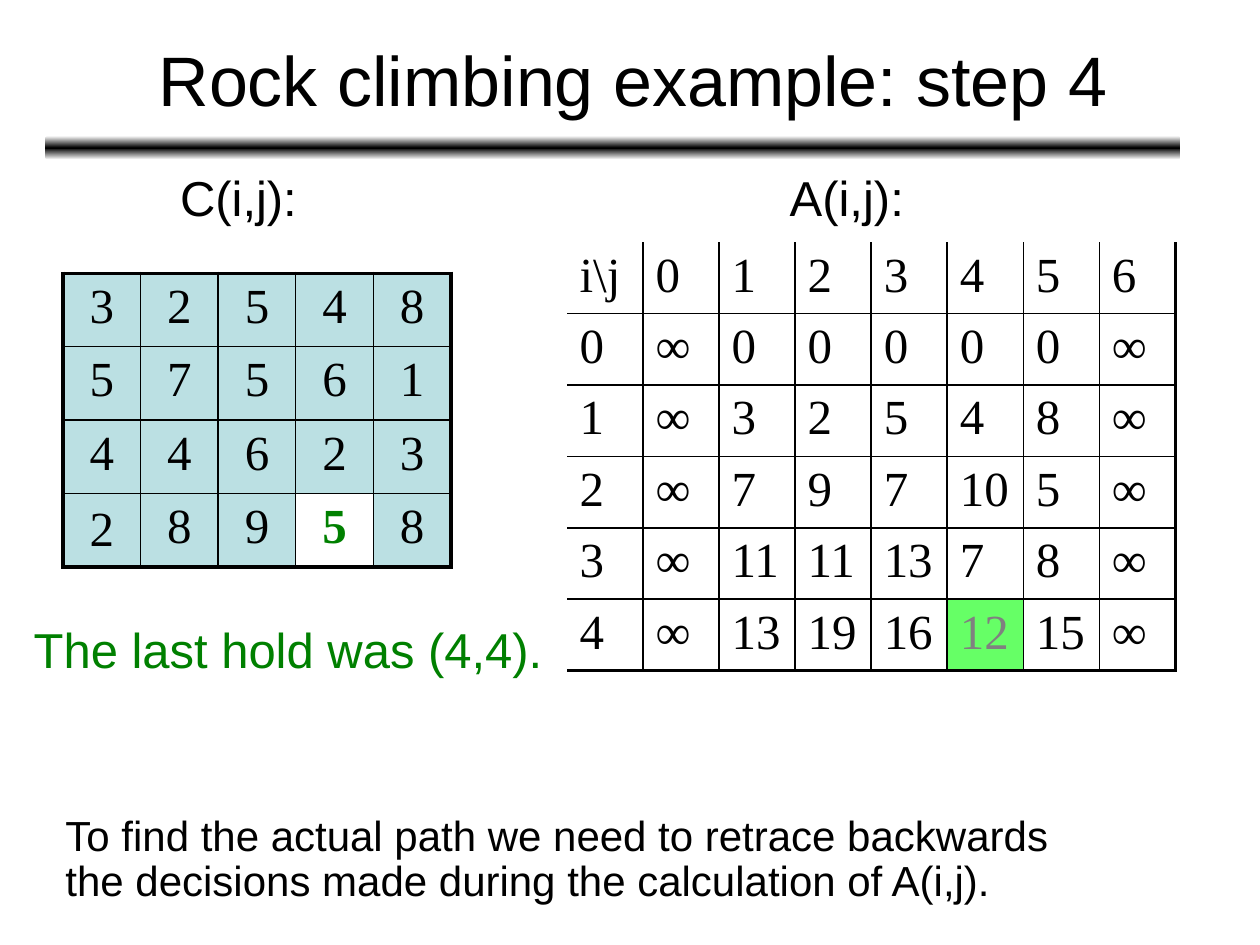
from copy import deepcopy
from dataclasses import dataclass, field

from lxml.etree import SubElement
from pptx import Presentation
from pptx.dml.color import RGBColor as RGB
from pptx.enum.shapes import MSO_SHAPE as SHAPE
from pptx.enum.text import MSO_ANCHOR as ANCHOR, MSO_AUTO_SIZE as FIT, PP_ALIGN as ALIGN
from pptx.oxml import parse_xml
from pptx.oxml.ns import nsdecls, qn
from pptx.util import Cm, Pt


@dataclass(frozen=True)
class Theme:
    black: RGB = RGB(0, 0, 0)
    white: RGB = RGB(255, 255, 255)
    green: RGB = RGB(0x00, 0x80, 0x00)
    gray: RGB = RGB(0x80, 0x80, 0x80)
    blue: RGB = RGB(0xBB, 0xE0, 0xE3)
    lime: RGB = RGB(0x66, 0xFF, 0x66)
    sans: str = "Arial"
    serif: str = "Times New Roman"
    title: int = 40
    large: int = 28
    body: int = 24
    thin: float = 1
    thick: float = 2.25


T = Theme()


@dataclass(frozen=True)
class Box:
    x: float
    y: float
    w: float
    h: float

    def emu(self) -> tuple:
        return Cm(self.x), Cm(self.y), Cm(self.w), Cm(self.h)


@dataclass(frozen=True)
class Label:
    box: Box
    lines: tuple[str, ...]
    size: int = T.large
    color: RGB = T.black
    wrap: bool = False


@dataclass(frozen=True)
class Mark:
    fill: RGB
    color: RGB
    bold: bool = False


@dataclass(frozen=True)
class Grid:
    box: Box
    rows: tuple[str, ...]
    align: ALIGN
    fill: RGB | None
    left: float
    top: float
    marks: dict = field(default_factory=dict)
    middle: tuple = ()


LABELS = (
    Label(Box(3.38, 3.38, 2.9, 1.32), ("C(i,j):",)),
    Label(Box(15.67, 3.38, 2.95, 1.32), ("A(i,j):",)),
    Label(Box(0.43, 12.5, 10.8, 1.32), ("The last hold was (4,4).",), color=T.green),
    Label(
        Box(1.07, 16.31, 22.25, 2.08),
        (
            "To find the actual path we need to retrace backwards",
            "the decisions made during the calculation of A(i,j).",
        ),
        size=T.body,
        wrap=True,
    ),
)

COSTS = Grid(
    Box(1.27, 5.51, 7.82, 5.92),
    ("3 2 5 4 8", "5 7 5 6 1", "4 4 6 2 3", "2 8 9 5 8"),
    ALIGN.CENTER, T.blue, T.thick, T.thick,
    {(3, 3): Mark(T.white, T.green, True)},
    ((3, 0),),
)

TOTALS = Grid(
    Box(11.43, 4.88, 12.27, 8.64),
    (
        "i\\j 0 1 2 3 4 5 6",
        "0 ∞ 0 0 0 0 0 ∞",
        "1 ∞ 3 2 5 4 8 ∞",
        "2 ∞ 7 9 7 10 5 ∞",
        "3 ∞ 11 11 13 7 8 ∞",
        "4 ∞ 13 19 16 12 15 ∞",
    ),
    ALIGN.LEFT, None, 0, 0,
    {(5, 5): Mark(T.lime, T.gray)},
)


def add_run(p, text: str, font: str, size: int, color: RGB, bold: bool = False) -> None:
    r = p.add_run()
    r.text = text
    r.font.name, r.font.size, r.font.bold = font, Pt(size), bold
    r.font.color.rgb = color


def add_title(s, text: str, box: Box) -> None:
    sp = s.shapes.title
    sp.left, sp.top, sp.width, sp.height = box.emu()
    tf = sp.text_frame
    tf.auto_size, tf.vertical_anchor = FIT.NONE, ANCHOR.MIDDLE
    p = tf.paragraphs[0]
    p.alignment = ALIGN.CENTER
    add_run(p, text, T.sans, T.title, T.black)


def add_bar(s, box: Box) -> None:
    sp = s.shapes.add_shape(SHAPE.ROUNDED_RECTANGLE, *box.emu())
    sp.shadow.inherit = False
    sp.line.fill.background()
    sp.fill.gradient()
    sp.fill.gradient_angle = 90
    stops = sp._element.spPr.find(".//" + qn("a:gsLst"))
    stops.append(deepcopy(stops[-1]))
    for stop, pos, color in zip(sp.fill.gradient_stops, (0, 0.5, 1), (T.white, T.black, T.white)):
        stop.position, stop.color.rgb = pos, color


def add_label(s, label: Label) -> None:
    tf = s.shapes.add_textbox(*label.box.emu()).text_frame
    tf.word_wrap, tf.auto_size = label.wrap, FIT.SHAPE_TO_FIT_TEXT
    for i, line in enumerate(label.lines):
        p = tf.add_paragraph() if i else tf.paragraphs[0]
        p.line_spacing = 0.9
        add_run(p, line, T.sans, label.size, label.color)


def set_borders(cell, widths: tuple[float, ...]) -> None:
    tc_pr = cell._tc.get_or_add_tcPr()
    for i, (side, width) in enumerate(zip("LRTB", widths)):
        ln = parse_xml(f'<a:ln{side} {nsdecls("a")} w="{Pt(width)}"/>')
        if width:
            fill = SubElement(ln, qn("a:solidFill"))
            SubElement(fill, qn("a:srgbClr"), val=str(T.black))
        else:
            SubElement(ln, qn("a:noFill"))
        tc_pr.insert(i, ln)


def add_grid(s, grid: Grid) -> None:
    rows = [row.split() for row in grid.rows]
    n, m = len(rows), len(rows[0])
    table = s.shapes.add_table(n, m, *grid.box.emu()).table
    table.first_row = table.horz_banding = False
    for i, row in enumerate(rows):
        for j, value in enumerate(row):
            cell = table.cell(i, j)
            mark = grid.marks.get((i, j), Mark(grid.fill, T.black))
            if mark.fill is None:
                cell.fill.background()
            else:
                cell.fill.solid()
                cell.fill.fore_color.rgb = mark.fill
            cell.vertical_anchor = ANCHOR.MIDDLE if (i, j) in grid.middle else ANCHOR.TOP
            p = cell.text_frame.paragraphs[0]
            p.alignment = grid.align
            add_run(p, value, T.serif, T.large, mark.color, mark.bold)
            set_borders(cell, (
                T.thin if j else grid.left,
                T.thin if j < m - 1 else T.thick,
                T.thin if i else grid.top,
                T.thin if i < n - 1 else T.thick,
            ))


def main() -> None:
    prs = Presentation()
    prs.slide_width, prs.slide_height = Cm(25.4), Cm(19.05)
    s = prs.slides.add_slide(prs.slide_layouts[5])
    add_bar(s, Box(0.91, 2.74, 22.89, 0.48))
    add_title(s, "Rock climbing example: step 4", Box(1.96, 0, 21.59, 3.18))
    for grid in (COSTS, TOTALS):
        add_grid(s, grid)
    for label in LABELS:
        add_label(s, label)
    prs.save("out.pptx")


if __name__ == "__main__":
    main()
